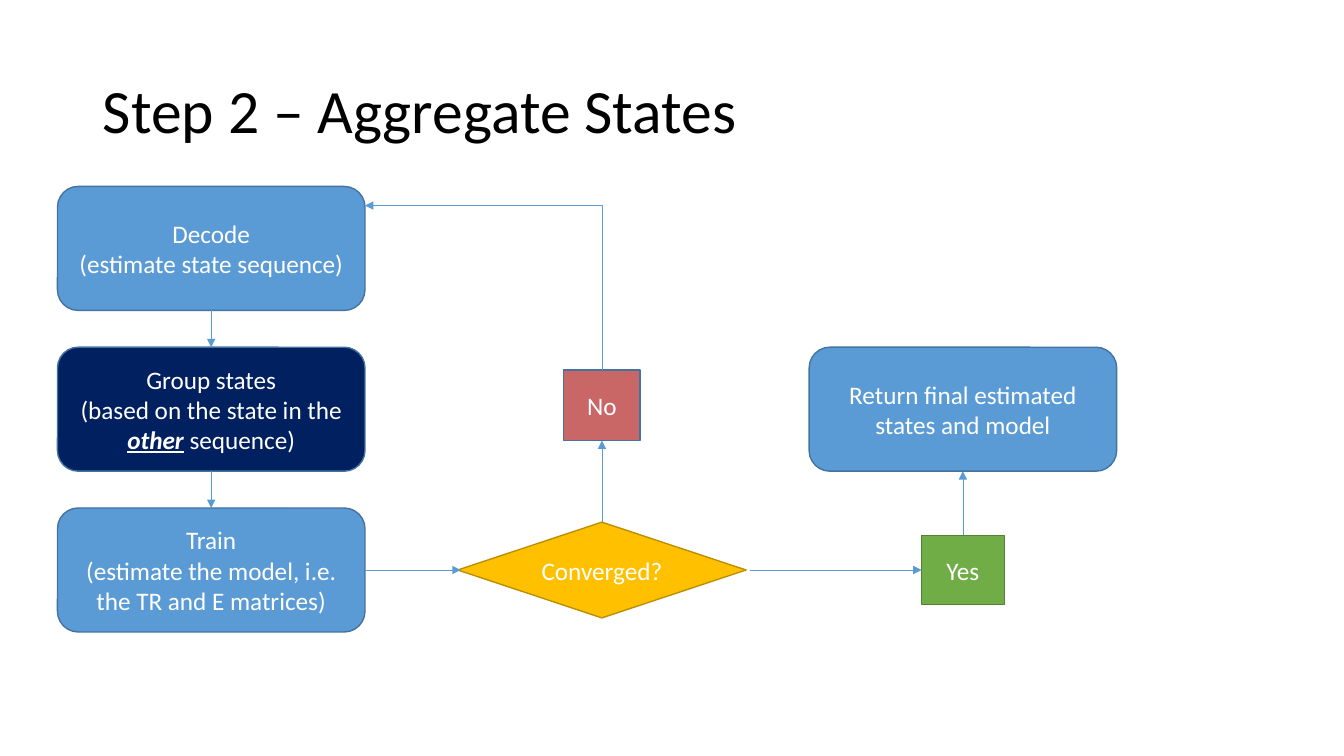
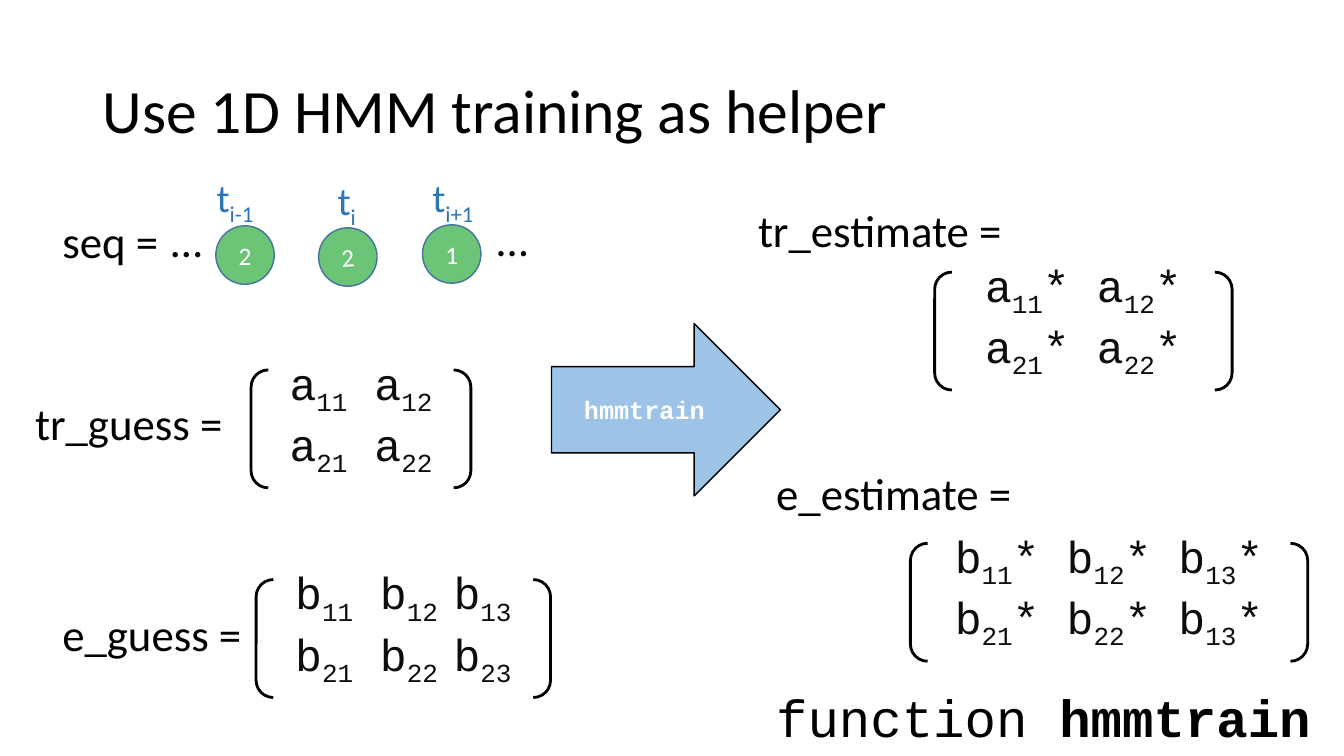
from pptx import Presentation
from pptx.dml.color import RGBColor
from pptx.enum.shapes import MSO_CONNECTOR, MSO_SHAPE
from pptx.enum.text import MSO_ANCHOR, PP_ALIGN
from pptx.oxml.ns import qn
from pptx.util import Inches, Pt
from lxml import etree

BLACK = RGBColor(0x00, 0x00, 0x00)
WHITE = RGBColor(0xFF, 0xFF, 0xFF)
INK = RGBColor(0x0D, 0x0D, 0x0D)
BLUE = RGBColor(0x5B, 0x9B, 0xD5)
EDGE = RGBColor(0x43, 0x73, 0x9E)
NAVY = RGBColor(0x00, 0x20, 0x60)
GOLD = RGBColor(0xFF, 0xC0, 0x00)
GOLD_EDGE = RGBColor(0xBD, 0x8E, 0x00)
GREEN = RGBColor(0x70, 0xAD, 0x47)
GREEN_EDGE = RGBColor(0x53, 0x80, 0x35)
RED = RGBColor(0xC9, 0x67, 0x67)
MINT = RGBColor(0x6C, 0xC4, 0x76)
TIME_BLUE = RGBColor(0x2E, 0x75, 0xB6)
PALE_BLUE = RGBColor(0x9D, 0xC3, 0xE6)

SANS, MONO = "Calibri", "Courier New"
SUB, STRONG, BOLD = "sub", "strong", "bold"


# Shared helpers
def write(tf, lines, size=18, color=WHITE, font=SANS, align=PP_ALIGN.CENTER,
          anchor=MSO_ANCHOR.MIDDLE):
    """Each line is a string or a list of (text, style) runs."""
    tf.word_wrap = True
    tf.vertical_anchor = anchor
    for i, line in enumerate(lines):
        p = tf.paragraphs[0] if i == 0 else tf.add_paragraph()
        p.alignment = align
        p.font.size, p.font.name = Pt(size), font
        p.font.color.rgb = color
        for text, style in [(line, None)] if isinstance(line, str) else line:
            r = p.add_run()
            r.text = text
            if style == SUB:
                r._r.get_or_add_rPr().set("baseline", "-25000")
            elif style == STRONG:
                r.font.bold = r.font.italic = r.font.underline = True
            elif style == BOLD:
                r.font.bold = True


def subscripts(text):
    """Split at bars; every second piece is a subscript."""
    pieces = enumerate(text.split("|"))
    return [(t, SUB if i % 2 else None) for i, t in pieces if t]


def add_box(s, kind, left, top, width, height, fill, edge=EDGE, weight=1):
    sp = s.shapes.add_shape(kind, Inches(left), Inches(top),
                            Inches(width), Inches(height))
    sp.shadow.inherit = False
    if fill is None:
        sp.fill.background()
    else:
        sp.fill.solid()
        sp.fill.fore_color.rgb = fill
    sp.line.color.rgb = edge
    sp.line.width = Pt(weight)
    return sp


def add_label(s, left, top, width, line, size=32, color=BLACK, font=SANS):
    sp = s.shapes.add_textbox(Inches(left), Inches(top), Inches(width),
                              Inches(size / 50))
    write(sp.text_frame, [line], size, color, font, PP_ALIGN.LEFT,
          MSO_ANCHOR.TOP)
    return sp


def add_arrow(s, x1, y1, x2, y2, kind=MSO_CONNECTOR.STRAIGHT, end="tailEnd"):
    c = s.shapes.add_connector(kind, Inches(x1), Inches(y1), Inches(x2),
                               Inches(y2))
    c.line.color.rgb = BLUE
    c.line.width = Pt(0.5)
    etree.SubElement(c.line._get_or_add_ln(), qn("a:" + end), type="triangle")
    etree.SubElement(c._element.spPr, qn("a:effectLst"))
    return c


def add_titled_slide(prs, title):
    s = prs.slides.add_slide(prs.slide_layouts[5])
    sp = s.shapes.title
    sp.left, sp.top = Inches(0.92), Inches(0.4)
    sp.width, sp.height = Inches(11.5), Inches(1.45)
    write(sp.text_frame, [title], 44, BLACK, align=PP_ALIGN.LEFT)
    sp.text_frame.paragraphs[0].line_spacing = 0.9
    return s


# Slide 1: the training loop
def training_loop(s, left, top):
    width, height, pitch = 3.05, 1.23, 1.595
    mid_x, right = left + width / 2, left + width
    steps = [
        (BLUE, ["Decode", "(estimate state sequence)"]),
        (NAVY, ["Group states", [("(based on the state in the ", None),
                                 ("other", STRONG), (" sequence)", None)]]),
        (BLUE, ["Train", "(estimate the model, i.e. the TR and E matrices)"]),
    ]
    for i, (fill, lines) in enumerate(steps):
        y = top + i * pitch
        sp = add_box(s, MSO_SHAPE.ROUNDED_RECTANGLE, left, y, width, height,
                     fill)
        write(sp.text_frame, lines)
        if i:
            add_arrow(s, mid_x, y - pitch + height, mid_x, y)

    # Decision and its two answers, centred on the last step
    axis = top + 2 * pitch + height / 2
    no_x, yes_x = left + 5.4, left + 8.98
    no_top, result_top = top + 1.82, top + pitch
    nodes = [
        (MSO_SHAPE.DIAMOND, no_x, axis - 0.475, 2.86, 0.95, GOLD, GOLD_EDGE,
         "Converged?"),
        (MSO_SHAPE.RECTANGLE, yes_x, axis - 0.345, 0.82, 0.69, GREEN,
         GREEN_EDGE, "Yes"),
        (MSO_SHAPE.RECTANGLE, no_x, no_top, 0.76, 0.7, RED, EDGE, "No"),
        (MSO_SHAPE.ROUNDED_RECTANGLE, yes_x, result_top, width, height, BLUE,
         EDGE, "Return final estimated states and model"),
    ]
    for kind, center, y, w, h, fill, edge, text in nodes:
        sp = add_box(s, kind, center - w / 2, y, w, h, fill, edge)
        write(sp.text_frame, [text])

    add_arrow(s, right, axis, no_x - 1.4, axis)
    add_arrow(s, no_x + 1.47, axis, yes_x - 0.41, axis)
    add_arrow(s, no_x, axis - 0.475, no_x, no_top + 0.7)
    add_arrow(s, yes_x, axis - 0.345, yes_x, result_top + height)

    # Single-bend line from "No" back to the first step
    back = add_arrow(s, right, top + 0.19, no_x, no_top, MSO_CONNECTOR.ELBOW,
                     "headEnd")
    back._element.spPr.find(qn("a:prstGeom")).set("prst", "bentConnector2")


# Slide 2: inputs, function and outputs
def sequence(s, left, top):
    add_label(s, left, top + 0.4, 1.26, "seq =")
    for x, y in ((1.08, 0.39), (4.31, 0.38)):
        add_label(s, left + x, top + y, 0.35, "…")
    states = [("2", 1.62, 0.57, 0, "t|i-1|", 1.53, 0),
              ("2", 2.64, 0.59, -4.5, "t|i|", 2.73, 0.03),
              ("1", 3.67, 0.56, 0, "t|i+1|", 3.67, 0)]
    for value, x, y, turn, time, time_x, time_y in states:
        sp = add_box(s, MSO_SHAPE.OVAL, left + x, top + y, 0.58, 0.58, MINT)
        sp.rotation = turn
        write(sp.text_frame, [value])
        add_label(s, left + time_x, top + time_y, 1.1, subscripts(time), 28,
                  TIME_BLUE)


def matrix(s, left, top, width, rows, name, name_dx, name_dy):
    sp = add_box(s, MSO_SHAPE.DOUBLE_BRACKET, left, top, width, 1.17, None,
                 BLACK, 2)
    sp.adjustments[0] = 0.146
    write(sp.text_frame, [subscripts(row) for row in rows], 32, INK, MONO,
          anchor=MSO_ANCHOR.BOTTOM)
    add_label(s, left + name_dx, top + name_dy, 2.86, name)


def function_arrow(s, left, top):
    sp = add_box(s, MSO_SHAPE.RIGHT_ARROW, left, top, 2.27, 1.71, PALE_BLUE,
                 BLACK)
    write(sp.text_frame, [[("hmmtrain", BOLD)]], font=MONO)


def function_caption(s, left, top):
    sp = add_label(s, left, top, 5.7, [("function ", None),
                                       ("hmmtrain", BOLD)], 37.4, font=MONO)
    sp.height = Inches(0.54)
    sp.text_frame.vertical_anchor = MSO_ANCHOR.MIDDLE
    sp.text_frame.paragraphs[0].line_spacing = 0.7


def main():
    prs = Presentation()
    prs.slide_width, prs.slide_height = Inches(13.33), Inches(7.5)

    s = add_titled_slide(prs, "Step 2 – Aggregate States")
    training_loop(s, 0.57, 1.85)

    s = add_titled_slide(prs, "Use 1D HMM training as helper")
    sequence(s, 0.52, 1.67)
    matrix(s, 2.49, 3.67, 2.18, ["a|11| a|12|", "a|21| a|22|"],
           "tr_guess =", -2.24, 0.21)
    matrix(s, 2.54, 5.75, 2.92, ["b|11| b|12 |b|13|", "b|21| b|22 |b|23|"],
           "e_guess =", -2.02, 0.22)
    function_arrow(s, 5.47, 3.21)
    matrix(s, 9.27, 2.7, 2.95, ["a|11|* a|12|*", "a|21|* a|22|*"],
           "tr_estimate =", -1.85, -0.74)
    matrix(s, 9.03, 5.39, 3.94,
           ["b|11|* b|12|* b|13|*", "b|21|* b|22|* b|13|*"],
           "e_estimate =", -1.43, -0.82)
    function_caption(s, 7.6, 6.92)

    prs.save("out.pptx")


if __name__ == "__main__":
    main()
